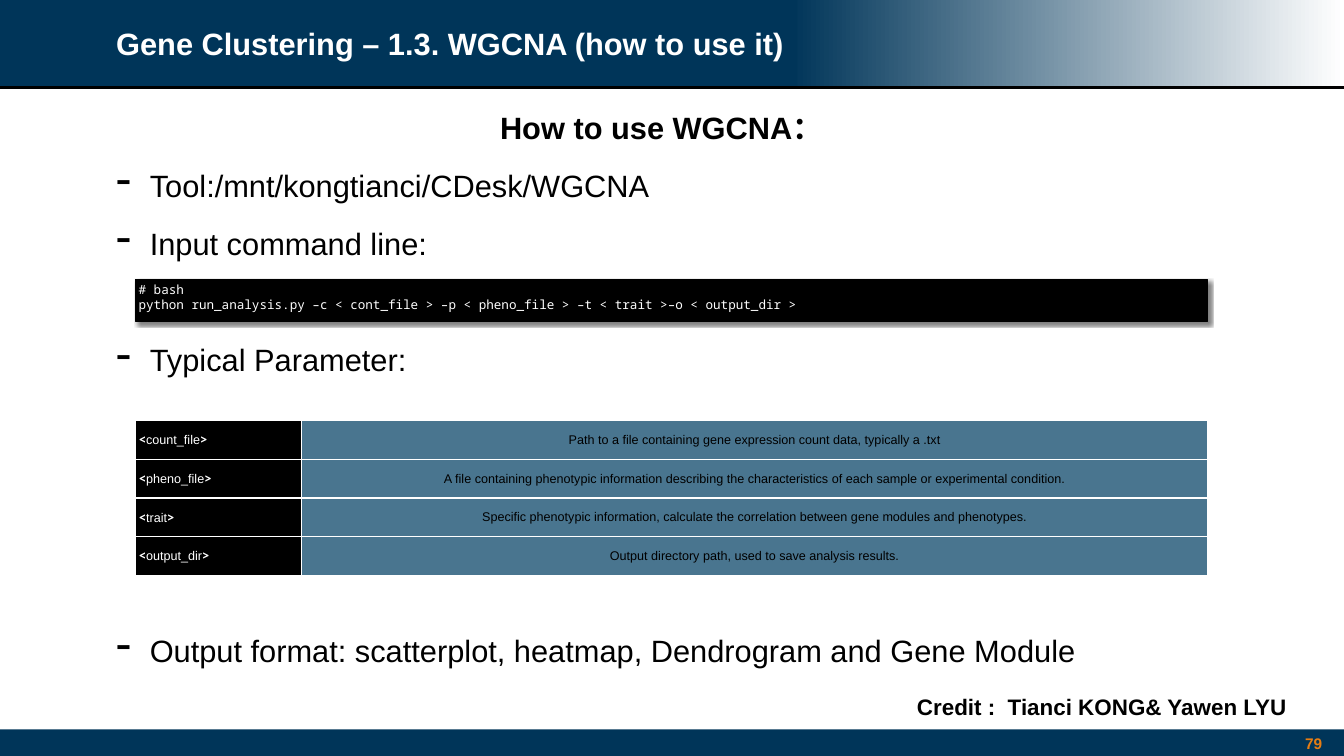
"""Build the slide that explains how to use WGCNA."""
from dataclasses import dataclass

from lxml import etree
from pptx import Presentation
from pptx import util as u
from pptx.dml.color import RGBColor
from pptx.enum import shapes, text
from pptx.oxml import parse_xml
from pptx.oxml.ns import nsdecls, qn

PX = 12700


@dataclass(frozen=True)
class Theme:
    """Colours, fonts and type sizes of the slide."""
    navy: str = "003559"
    steel: str = "49758F"
    orange: str = "E67D13"
    black: str = "000000"
    white: str = "FFFFFF"
    sans: str = "Arial"
    mono: str = "Noto Sans Mono"
    large: int = 44
    credit: int = 32
    number: int = 22
    small: int = 18


T = Theme()
LINE, PITCH, INDENT = 53, 83, 48
BULLETS = [
    ("Tool:/mnt/kongtianci/CDesk/WGCNA", 0),
    ("Input command line:", 1),
    ("Typical Parameter:", 2),
    ("Output format: scatterplot, heatmap, Dendrogram and Gene Module", 5),
]
COMMAND = (
    "# bash\n"
    "python run_analysis.py –c < cont_file > –p < pheno_file > –t < trait >–o < output_dir >"
)
PARAMETERS = [
    ("count_file", "Path to a file containing gene expression count data, typically a .txt"),
    ("pheno_file", "A file containing phenotypic information describing the characteristics"
                   " of each sample or experimental condition."),
    ("trait", "Specific phenotypic information, calculate the correlation between"
              " gene modules and phenotypes."),
    ("output_dir", "Output directory path, used to save analysis results."),
]


def box(*lengths):
    """Turn px lengths into EMU."""
    return [n * PX for n in lengths]


def style(font, size, color, name=T.sans, bold=False):
    """Set the look of a font."""
    font.size, font.name, font.bold = u.Pt(size), name, bold
    font.color.rgb = RGBColor.from_string(color)


def inset(target, px):
    """Give a text frame or a cell equal margins."""
    target.margin_left = target.margin_right = px * PX
    target.margin_top = target.margin_bottom = px * PX


def add_bar(s, place, color):
    """Add a plain rectangle without line or shadow."""
    sp = s.shapes.add_shape(shapes.MSO_SHAPE.RECTANGLE, *box(*place))
    sp.shadow.inherit = False
    sp.fill.solid()
    sp.fill.fore_color.rgb = RGBColor.from_string(color)
    sp.line.fill.background()
    return sp


def add_fade(s, place):
    """Add the header bar that fades to white on the right."""
    sp = add_bar(s, place, T.navy)
    sp.fill.gradient()
    sp.fill.gradient_angle = 180
    for stop, position, color in zip(sp.fill.gradient_stops, (0, 1), (T.white, T.navy)):
        stop.position = position
        stop.color.rgb = RGBColor.from_string(color)


def add_rule(s, x1, y1, x2, y2):
    """Add the black line under the header."""
    line = s.shapes.add_connector(shapes.MSO_CONNECTOR.STRAIGHT, *box(x1, y1, x2, y2))
    line.line.width = u.Pt(5)
    line.line.color.rgb = RGBColor.from_string(T.black)
    etree.SubElement(line._element.spPr, qn("a:effectLst"))


def add_label(s, place, content, size, color, align=text.PP_ALIGN.CENTER, wrap=True):
    """Add one line of bold text."""
    tf = s.shapes.add_textbox(*box(*place)).text_frame
    tf.word_wrap = wrap
    tf.vertical_anchor = text.MSO_ANCHOR.MIDDLE
    inset(tf, 6)
    tf.text = content
    p = tf.paragraphs[0]
    p.alignment = align
    style(p.runs[0].font, size, color, bold=True)


def add_bullets(s, place, items):
    """Add dashed items, each a number of line steps below the one before."""
    tf = s.shapes.add_textbox(*box(*place)).text_frame
    tf.word_wrap = True
    inset(tf, 6)
    tf.text = "\n".join(content for content, _ in items)
    for p, (_, steps) in zip(tf.paragraphs, items):
        pPr = p._p.get_or_add_pPr()
        pPr.set("marL", str(INDENT * PX))
        pPr.set("indent", str(-INDENT * PX))
        etree.SubElement(pPr, qn("a:buSzPct")).set("val", "145000")
        etree.SubElement(pPr, qn("a:buChar")).set("char", "-")
        p.line_spacing = u.Pt(LINE)
        if steps:
            p.space_before = u.Pt(steps * PITCH - LINE)
        style(p.runs[0].font, T.large, T.black)


def add_code(s, place, content):
    """Add a black code panel with a soft shadow."""
    sp = add_bar(s, place, T.black)
    sp.line.color.rgb = RGBColor.from_string(T.black)
    sp.line.width = u.Pt(2)
    shadow = parse_xml(
        f'<a:outerShdw {nsdecls("a")} blurRad="{4 * PX}" dist="{5 * PX}" dir="2700000"'
        f' algn="tl" rotWithShape="0"><a:srgbClr val="{T.black}">'
        '<a:alpha val="50000"/></a:srgbClr></a:outerShdw>')
    sp._element.spPr.find(qn("a:effectLst")).append(shadow)
    tf = sp.text_frame
    tf.word_wrap = True
    tf.vertical_anchor = text.MSO_ANCHOR.TOP
    inset(tf, 4)
    tf.text = content
    for p in tf.paragraphs:
        p.alignment = text.PP_ALIGN.LEFT
        style(p.runs[0].font, T.small, T.white, T.mono)


def fill_cell(cell, color, parts, align):
    """Fill a cell with white borders and (text, colour, font, bold) runs."""
    inset(cell, 4)
    cell.vertical_anchor = text.MSO_ANCHOR.MIDDLE
    tcPr = cell._tc.get_or_add_tcPr()
    for side in ("lnL", "lnR", "lnT", "lnB"):
        tcPr.append(parse_xml(
            f'<a:{side} {nsdecls("a")} w="{2 * PX}"><a:solidFill>'
            f'<a:srgbClr val="{T.white}"/></a:solidFill></a:{side}>'))
    cell.fill.solid()
    cell.fill.fore_color.rgb = RGBColor.from_string(color)
    p = cell.text_frame.paragraphs[0]
    p.alignment = align
    for content, *look in parts:
        r = p.add_run()
        r.text = content
        style(r.font, T.small, *look)


def add_parameters(s, place, widths, items):
    """Add the table of parameter names and meanings."""
    table = s.shapes.add_table(len(items), len(widths), *box(*place)).table
    for column, width in zip(table.columns, widths):
        column.width = width * PX
    for row, (name, meaning) in zip(table.rows, items):
        bracket = (T.white, T.mono, True)
        fill_cell(row.cells[0], T.black,
                  [("<", *bracket), (name, T.white), (">", *bracket)], text.PP_ALIGN.LEFT)
        fill_cell(row.cells[1], T.steel, [(meaning, T.black)], text.PP_ALIGN.CENTER)


def main():
    """Build and save the slide."""
    prs = Presentation()
    prs.slide_width, prs.slide_height = box(1920, 1080)
    s = prs.slides.add_slide(prs.slide_layouts[6])
    add_fade(s, (1128, 0, 792, 124))
    add_bar(s, (0, 0, 1138, 124), T.navy)
    add_rule(s, 0, 125, 1920, 125)
    add_bar(s, (0, 1042, 1920, 38), T.navy)
    add_bullets(s, (160, 232, 1600, 730), BULLETS)
    add_label(s, (160, 0, 1600, 124), "Gene Clustering – 1.3. WGCNA (how to use it)",
              T.large, T.white, text.PP_ALIGN.LEFT)
    add_label(s, (1858, 1043, 37, 37), "79", T.number, T.orange, wrap=False)
    add_label(s, (521, 149, 849, 65), "How to use WGCNA：", T.large, T.black)
    add_label(s, (1259, 987, 630, 46), "Credit :  Tianci KONG& Yawen LYU", T.credit, T.black)
    add_code(s, (194, 399, 1531, 60), COMMAND)
    add_parameters(s, (194, 601, 1531, 221), (237, 1294), PARAMETERS)
    prs.save("out.pptx")


if __name__ == "__main__":
    main()
